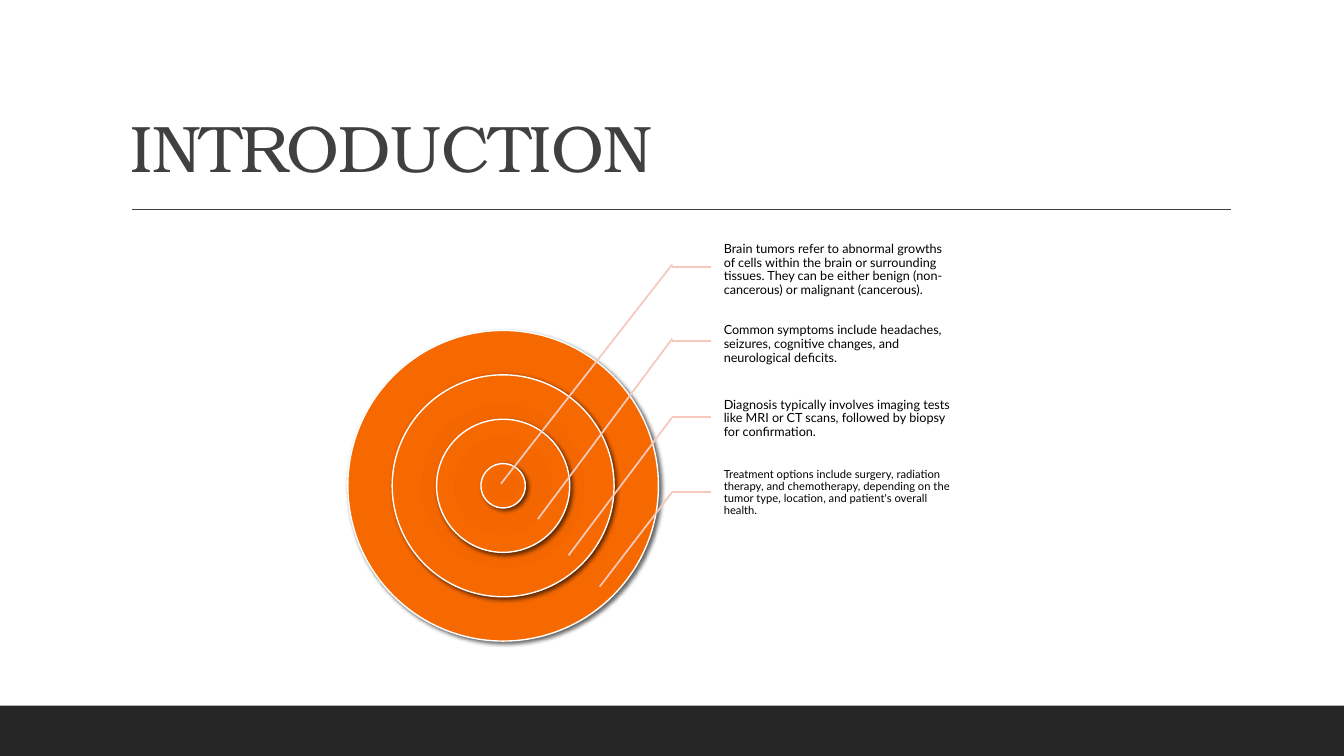
from lxml import etree
from pptx import Presentation
from pptx.dml.color import RGBColor
from pptx.enum.shapes import MSO_CONNECTOR, MSO_SHAPE
from pptx.enum.text import MSO_ANCHOR
from pptx.oxml import parse_xml
from pptx.oxml.ns import nsdecls, qn
from pptx.util import Pt

OVAL = MSO_SHAPE.OVAL
RECT = MSO_SHAPE.RECTANGLE
LINE = MSO_CONNECTOR.STRAIGHT
LOW = MSO_ANCHOR.BOTTOM
MID = MSO_ANCHOR.MIDDLE

HUES = {
    "bar": "262626",
    "title": "404040",
    "text": "000000",
    "edge": "FFFFFF",
    "lead": "F6C9BD",
    "shade": "000000",
}
STOPS = {0: "F06500", 34: "F36600", 70: "F66800", 100: "F76E0B"}

HEAD = {"size": Pt(47), "name": "TeX Gyre Bonum"}
BODY = {"size": Pt(9), "name": "Lato"}
SMALL = {"size": Pt(8), "name": "Lato"}
WIDE = {"margin_left": Pt(7.2), "margin_right": Pt(7.2),
        "margin_top": Pt(3.6), "margin_bottom": Pt(3.6),
        "vertical_anchor": LOW}
TIGHT = {"margin_left": Pt(5), "margin_right": Pt(0.7),
         "margin_top": Pt(0.7), "margin_bottom": Pt(0.7),
         "vertical_anchor": MID}

CENTER = (359.4, 347)
CORE = 31.7
STEP = 63.4
BEND = 480.2
NOTES = [
    ("Brain tumors refer to abnormal growths of cells within the brain or "
     "surrounding tissues. They can be either benign (non-cancerous) or "
     "malignant (cancerous).", BODY, 190.8, 188.9, (357.8, 345.6)),
    ("Common symptoms include headaches, seizures, cognitive changes, and "
     "neurological deficits.", BODY, 243.6, 241.9, (384.2, 370.8)),
    ("Diagnosis typically involves imaging tests like MRI or CT scans, "
     "followed by biopsy for confirmation.", BODY, 298, 298, (406.1, 396.7)),
    ("Treatment options include surgery, radiation therapy, and chemotherapy, "
     "depending on the tumor type, location, and patient's overall health.",
     SMALL, 351.4, 351.4, (428.4, 419)),
]


def color(name):
    return RGBColor.from_string(HUES[name])


def apply(target, style):
    for key, value in style.items():
        setattr(target, key, value)


def add_bar(slide):
    bar = slide.shapes.add_shape(RECT, Pt(0), Pt(504), Pt(960), Pt(36))
    bar.shadow.inherit = False
    bar.fill.solid()
    bar.fill.fore_color.rgb = color("bar")
    bar.line.fill.background()


def add_line(slide, start, end, hue, width):
    line = slide.shapes.add_connector(LINE, *map(Pt, start + end))
    line.line.color.rgb = color(hue)
    line.line.width = Pt(width)
    etree.SubElement(line._element.spPr, qn("a:effectLst"))


def add_text(slide, box, text, font, frame, hue):
    body = slide.shapes.add_textbox(*map(Pt, box)).text_frame
    body.word_wrap = True
    apply(body, frame)
    para = body.paragraphs[0]
    para.line_spacing = 0.9
    run = para.add_run()
    run.text = text
    apply(run.font, font)
    run.font.color.rgb = color(hue)
    return run


def add_ring(slide, size):
    left, top = (mid - size / 2 for mid in CENTER)
    ring = slide.shapes.add_shape(OVAL, Pt(left), Pt(top), Pt(size), Pt(size))
    stops = "".join(
        f'<a:gs pos="{pos * 1000}"><a:srgbClr val="{hue}"/></a:gs>'
        for pos, hue in STOPS.items())
    props = ring._element.spPr
    props.insert(2, parse_xml(
        f'<a:gradFill {nsdecls("a")} rotWithShape="1"><a:gsLst>{stops}</a:gsLst>'
        '<a:path path="circle"><a:fillToRect l="100000" t="100000" '
        'r="100000" b="100000"/></a:path></a:gradFill>'))
    ring.line.color.rgb = color("edge")
    ring.line.width = Pt(1)
    ring.shadow.inherit = False
    props.find(qn("a:effectLst")).append(parse_xml(
        f'<a:outerShdw {nsdecls("a")} blurRad="{Pt(3)}" dist="{Pt(2)}" '
        'dir="2700000" algn="tl" rotWithShape="0">'
        f'<a:srgbClr val="{HUES["shade"]}"><a:alpha val="60000"/></a:srgbClr>'
        '</a:outerShdw>'))


def main():
    deck = Presentation()
    deck.slide_width, deck.slide_height = Pt(960), Pt(540)
    slide = deck.slides.add_slide(deck.slide_layouts[6])

    add_bar(slide)
    add_line(slide, (94.3, 149.6), (879, 149.6), "title", 1)
    title = add_text(slide, (86.4, 22.3, 792, 114.5), "INTRODUCTION",
                     HEAD, WIDE, "title")
    title.font._element.set("spc", "-50")

    for index in reversed(range(len(NOTES))):
        add_ring(slide, CORE + index * STEP)

    for index, (text, font, level, bend, tip) in enumerate(NOTES):
        add_text(slide, (512, 166.1 + index * 53.2, 170, 53.2),
                 text, font, TIGHT, "text")
        add_line(slide, (BEND, level), (507.6, level), "lead", 1.25)
        add_line(slide, (BEND, bend), tip, "lead", 1.25)

    deck.save("out.pptx")


if __name__ == "__main__":
    main()
